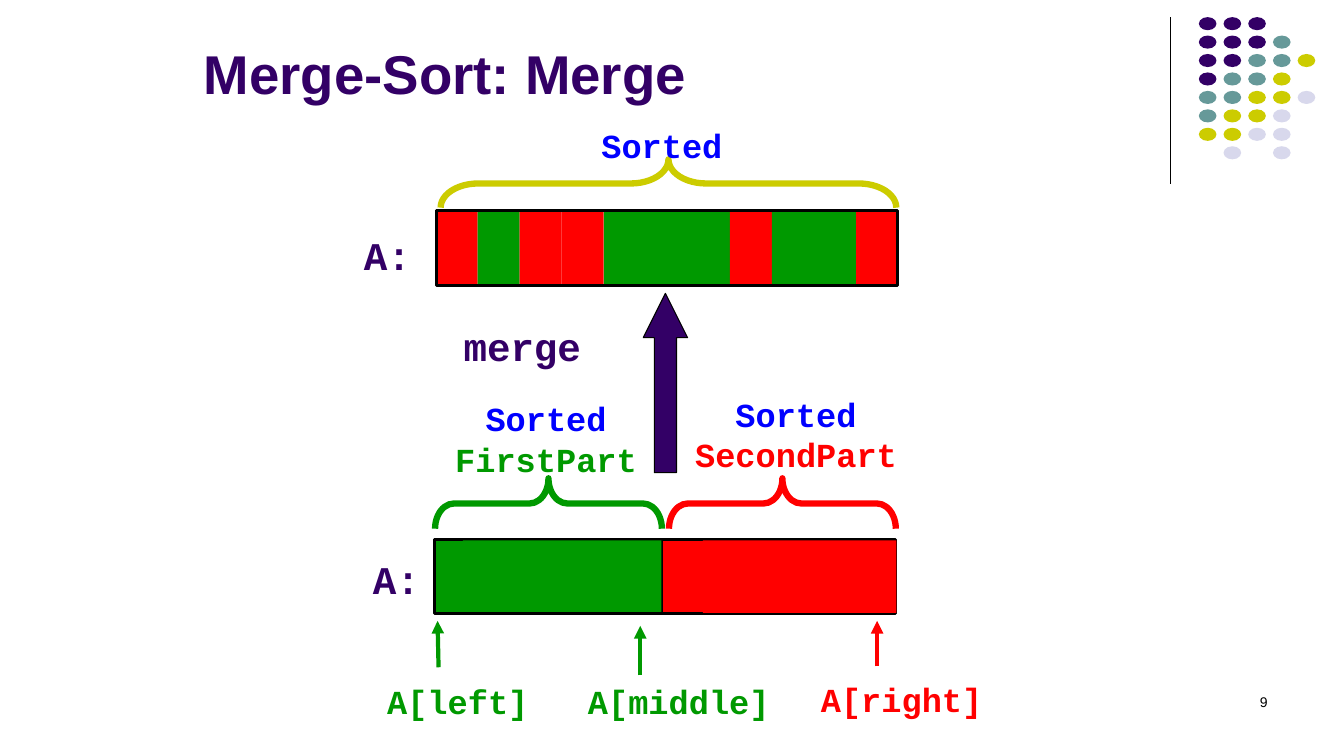
from lxml import etree
from pptx import Presentation
from pptx.dml.color import RGBColor
from pptx.enum.shapes import MSO_CONNECTOR, MSO_SHAPE
from pptx.enum.text import MSO_ANCHOR, MSO_AUTO_SIZE, PP_ALIGN
from pptx.oxml.ns import qn
from pptx.util import Inches, Pt

RECT = MSO_SHAPE.RECTANGLE
OVAL = MSO_SHAPE.OVAL
BRACE = MSO_SHAPE.RIGHT_BRACE
ARROW = MSO_SHAPE.UP_ARROW
LINE = MSO_CONNECTOR.STRAIGHT
LEFT, MID, RIGHT = PP_ALIGN.LEFT, PP_ALIGN.CENTER, PP_ALIGN.RIGHT
GROW, FIXED = MSO_AUTO_SIZE.SHAPE_TO_FIT_TEXT, MSO_AUTO_SIZE.NONE
MIDDLE = MSO_ANCHOR.MIDDLE

PURPLE = RGBColor(0x33, 0x00, 0x66)
TEAL = RGBColor(0x66, 0x99, 0x99)
OLIVE = RGBColor(0xCC, 0xCC, 0x00)
PALE = RGBColor(0xD8, 0xD8, 0xEC)
GREEN = RGBColor(0x00, 0x99, 0x00)
RED = RGBColor(0xFF, 0x00, 0x00)
BLUE = RGBColor(0x00, 0x00, 0xFF)
BLACK = RGBColor(0x00, 0x00, 0x00)

DOTS = ["PPP", "PPPT", "PPTTO", "PTTO", "TTOOL", "TOOL", "OOLL", " L L"]
HUES = {"P": PURPLE, "T": TEAL, "O": OLIVE, "L": PALE}
CELLS = {"R": RED, "G": GREEN}


def write(para, text, size=24, font="Courier New", color=PURPLE, bold=True, align=LEFT):
    """Add a formatted run to a paragraph."""
    para.alignment = align
    run = para.add_run()
    run.text = text
    run.font.size = Pt(size)
    run.font.name = font
    run.font.bold = bold
    run.font.color.rgb = color


class Board:
    """Draws styled elements on the current slide."""

    def __init__(self, slide):
        self.slide = slide
        self.shapes = slide.shapes

    def title(self, text, x, y, w, h):
        """Place and format the title."""
        box = self.shapes.title
        box.left, box.top, box.width, box.height = map(Inches, (x, y, w, h))
        frame = box.text_frame
        frame.auto_size = FIXED
        frame.vertical_anchor = MIDDLE
        write(frame.paragraphs[0], text, size=39, font="Arial")

    def label(self, parts, x, y, w, h, fit=GROW, **style):
        """Add a text box made of text and colour pairs."""
        box = self.shapes.add_textbox(*map(Inches, (x, y, w, h)))
        frame = box.text_frame
        frame.word_wrap = True
        frame.auto_size = fit
        for text, color in parts:
            write(frame.paragraphs[0], text, color=color, **style)

    def shape(self, kind, x, y, w, h, fill=None, line=None, width=2, adjust=(), turn=0):
        """Add a preset shape."""
        item = self.shapes.add_shape(kind, *map(Inches, (x, y, w, h)))
        item.shadow.inherit = False
        item.rotation = turn
        for i, value in enumerate(adjust):
            item.adjustments[i] = value
        if fill is None:
            item.fill.background()
        else:
            item.fill.solid()
            item.fill.fore_color.rgb = fill
        if line is None:
            item.line.fill.background()
        else:
            item.line.color.rgb = line
            item.line.width = Pt(width)

    def brace(self, x, y, w, h, color, bend):
        """Add a brace that points up."""
        self.shape(BRACE, x, y, w, h, line=color, width=4.5, adjust=(bend, 0.5), turn=270)

    def line(self, x1, y1, x2, y2, color=BLACK, width=2.0, head=False):
        """Add a straight line, with an arrowhead if asked."""
        item = self.shapes.add_connector(LINE, *map(Inches, (x1, y1, x2, y2)))
        item.line.color.rgb = color
        item.line.width = Pt(width)
        if head:
            stroke = item.line._get_or_add_ln()
            etree.SubElement(stroke, qn("a:tailEnd"), type="triangle")
        props = item._element.spPr
        etree.SubElement(props, qn("a:effectLst"))


def corner(board):
    """Draw the dotted corner and the page number."""
    board.line(11.61, 0.17, 11.61, 1.83, width=0.75)
    for row, marks in enumerate(DOTS):
        for col, mark in enumerate(marks):
            if mark in HUES:
                board.shape(OVAL, 11.89 + col * 0.245, 0.17 + row * 0.183, 0.175, 0.13, HUES[mark])
    board.label([("9", BLACK)], 9.56, 6.83, 3.11, 0.5, fit=FIXED,
                size=10, font="Arial", bold=False, align=RIGHT)


def parts(board):
    """Draw the lower array with its two sorted halves."""
    board.shape(RECT, 6.56, 5.34, 0.42, 0.75, RED)
    board.shape(RECT, 4.31, 5.34, 0.42, 0.75, GREEN)
    board.shape(RECT, 4.31, 5.35, 4.57, 0.74, line=BLACK)
    board.line(6.56, 5.34, 6.56, 6.09)
    board.shape(RECT, 6.97, 5.36, 1.92, 0.72, RED)
    board.shape(RECT, 4.59, 5.36, 1.97, 0.71, GREEN)
    halves = [("FirstPart", GREEN, 5.19, 4.29, 3.9, 2.25),
              ("SecondPart", RED, 7.51, 6.56, 3.86, 2.67)]
    for name, color, left, x, y, w in halves:
        board.brace(left, 3.87, 0.5, 2.25, color, 0.375)
        board.label([("Sorted ", BLUE), (name, color)], x, y, w, 0.91, align=MID)
    marks = [("A[left]", GREEN, MID, 3.58, 6.71, 1.92, (4.35, 6.62, 4.34, 6.16)),
             ("A[middle]", GREEN, RIGHT, 5.55, 6.71, 2.18, (6.35, 6.7, 6.35, 6.21)),
             ("A[right]", RED, RIGHT, 7.82, 6.69, 2.02, (8.7, 6.61, 8.7, 6.16))]
    for text, color, align, x, y, w, ends in marks:
        board.label([(text, color)], x, y, w, 0.51, align=align)
        board.line(*ends, color=color, width=3, head=True)
    board.label([("A:", PURPLE)], 3.6, 5.46, 0.71, 0.57, size=28)


def merged(board):
    """Draw the upper array and the merge arrow."""
    for i, mark in enumerate("RGRRGGGRGGR"):
        board.shape(RECT, 4.32 + i * 0.417, 2.09, 0.417, 0.75, CELLS[mark])
    board.shape(RECT, 4.33, 2.09, 4.57, 0.74, line=BLACK)
    board.label([("A:", PURPLE)], 3.51, 2.25, 0.71, 0.57, size=28)
    board.label([("merge", PURPLE)], 4.14, 3.15, 2.08, 0.57, size=28, align=MID)
    board.shape(ARROW, 6.38, 2.91, 0.44, 1.78, PURPLE, BLACK, 0.75, (0.5, 1))
    board.brace(6.39, -0.44, 0.48, 4.52, OLIVE, 0.777)
    board.label([("Sorted", BLUE)], 5.23, 1.19, 2.67, 0.51, align=MID)


def main():
    """Build and save the slide."""
    deck = Presentation()
    deck.slide_width, deck.slide_height = Inches(13.33), Inches(7.5)
    board = Board(deck.slides.add_slide(deck.slide_layouts[5]))
    corner(board)
    board.title("Merge-Sort: Merge", 1.92, 0.24, 8.5, 0.96)
    parts(board)
    merged(board)
    deck.save("out.pptx")


if __name__ == "__main__":
    main()
